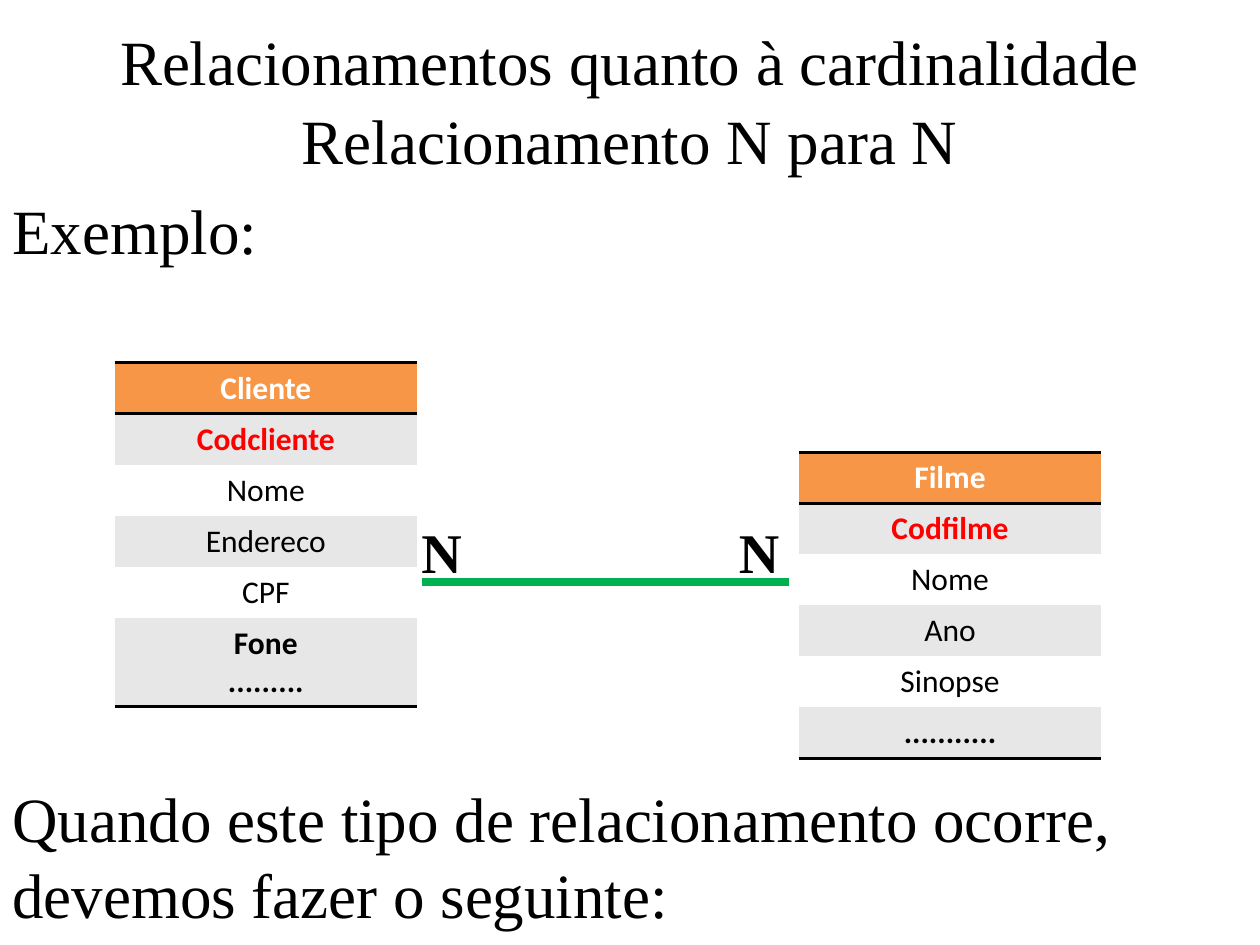
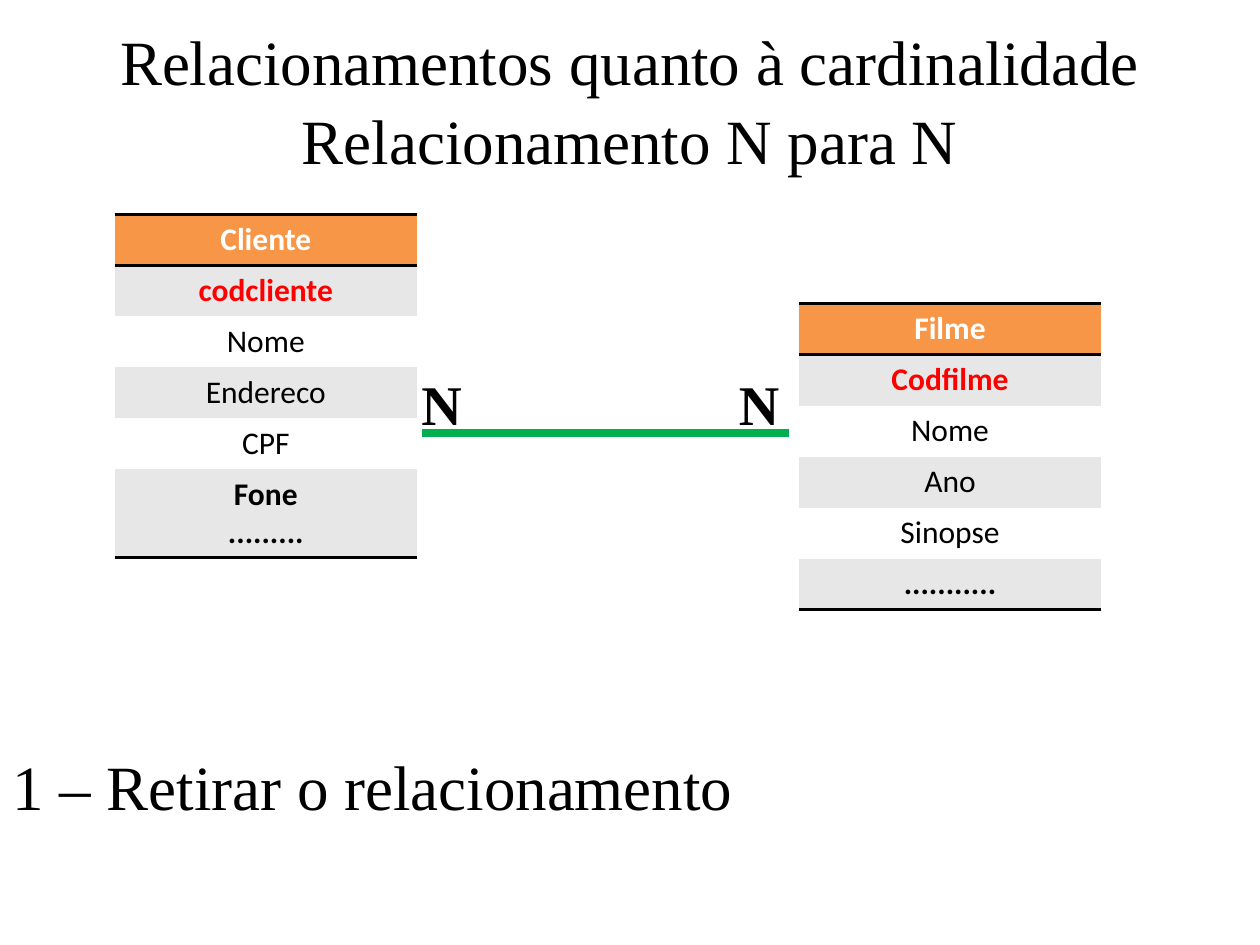
from lxml.etree import SubElement
from pptx import Presentation
from pptx.dml.color import RGBColor as RGB
from pptx.enum.shapes import MSO_CONNECTOR as Conn
from pptx.enum.text import MSO_ANCHOR as Anchor, MSO_AUTO_SIZE as Fit, PP_ALIGN as Align
from pptx.oxml import parse_xml
from pptx.oxml.ns import nsdecls, qn
from pptx.util import Inches, Pt

BLACK = RGB(0x00, 0x00, 0x00)
WHITE = RGB(0xFF, 0xFF, 0xFF)
RED = RGB(0xFF, 0x00, 0x00)
GREEN = RGB(0x00, 0xB0, 0x50)
ORANGE = RGB(0xF7, 0x96, 0x46)
GRAY = RGB(0xE7, 0xE7, 0xE7)

SERIF, SANS = "Times New Roman", "Calibri"
PLAIN = "{2D5ABB26-0587-4C30-8999-92F81FD0307C}"  # table style without grid
COLS, ROWS = 100, 75
ROW = 4.05   # table row with one line
TALL = 7     # table row with two lines
LINE = 7.1   # text box with one line

HEAD = "Relacionamentos quanto à cardinalidade"
SUB = "Relacionamento N para N"
FILM = ["Filme", "Codfilme", "Nome", "Ano", "Sinopse", "..........."]


def client(key):
    return ["Cliente", key, "Nome", "Endereco", "CPF", "Fone\n........."]


class Deck:
    """Holds the shared style and the current slide."""

    def __init__(self):
        self.prs = Presentation()
        self.prs.slide_width, self.prs.slide_height = Inches(10), Inches(7.5)
        self.slide = None

    def grid(self, x, y, w, h):
        dx, dy = self.prs.slide_width / COLS, self.prs.slide_height / ROWS
        return [round(v) for v in (x * dx, y * dy, w * dx, h * dy)]

    def fill(self, frame, text, size, font, color=BLACK, bold=False, align=Align.CENTER):
        frame.text = text
        for para in frame.paragraphs:
            para.alignment = align
            for run in para.runs:
                run.font.size, run.font.name = Pt(size), font
                run.font.bold, run.font.color.rgb = bold, color

    def page(self):
        self.slide = self.prs.slides.add_slide(self.prs.slide_layouts[5])
        title = self.slide.shapes.title
        title.left, title.top, title.width, title.height = self.grid(0, 1.3, COLS, LINE)
        frame = title.text_frame
        frame.auto_size, frame.vertical_anchor = Fit.NONE, Anchor.TOP
        self.fill(frame, HEAD, 36, SERIF)
        self.text(SUB, 0, 7.6, align=Align.CENTER)

    def text(self, text, x, y, w=COLS, h=LINE, size=36, bold=False, align=Align.LEFT):
        frame = self.slide.shapes.add_textbox(*self.grid(x, y, w, h)).text_frame
        frame.word_wrap, frame.auto_size = True, Fit.SHAPE_TO_FIT_TEXT
        self.fill(frame, text, size, SERIF, bold=bold, align=align)

    def edge(self, cell, *sides):
        for i, side in enumerate(sides):
            cell._tc.get_or_add_tcPr().insert(i, parse_xml(
                f'<a:{side} {nsdecls("a")} w="{Pt(2)}"><a:solidFill>'
                f'<a:srgbClr val="{BLACK}"/></a:solidFill></a:{side}>'))

    def table(self, names, x, y):
        last = len(names) - 1
        box = self.grid(x, y, 24, ROW * len(names))
        table = self.slide.shapes.add_table(len(names), 1, *box).table
        table.horz_banding = False
        table._tbl.tblPr.find(qn("a:tableStyleId")).text = PLAIN
        for i, name in enumerate(names):
            high = TALL if "\n" in name else ROW
            table.rows[i].height = self.grid(0, 0, 0, high)[3]
            cell = table.cell(i, 0)
            cell.fill.solid()
            cell.fill.fore_color.rgb = ORANGE if i == 0 else GRAY if i % 2 else WHITE
            color = {0: WHITE, 1: RED}.get(i, BLACK)
            self.fill(cell.text_frame, name, 18, SANS, color, i in (0, 1, last))
        self.edge(table.cell(0, 0), "lnT", "lnB")
        self.edge(table.cell(last, 0), "lnB")

    def link(self, x1, x2, y):
        x1, y, x2, _ = self.grid(x1, y, x2, 0)
        line = self.slide.shapes.add_connector(Conn.STRAIGHT, x1, y, x2, y)
        line.line.color.rgb, line.line.width = GREEN, Pt(4.5)
        SubElement(line._element.spPr, qn("a:effectLst"))

    def model(self, key, top):
        """Two entities joined by an N to N line."""
        self.table(client(key), 9.1, top)
        self.table(FILM, 63.4, top + 7.1)
        self.link(33.5, 62.6, top + 17.4)
        for x in (56.3, 31.1):
            self.text("N", x, top + 11.8, 7.9, 6.4, 32, True, Align.CENTER)


def main():
    deck = Deck()

    # Example of the relation
    deck.page()
    deck.text("Exemplo:", 0, 14.7)
    deck.model("Codcliente", 28.8)
    deck.text("Quando este tipo de relacionamento ocorre, devemos fazer o seguinte:",
              0, 61.4, h=13.1)

    # First step
    deck.page()
    deck.text("1 – Retirar o relacionamento", 0, 58.8)
    deck.model("codcliente", 17)

    deck.prs.save("out.pptx")


if __name__ == "__main__":
    main()
